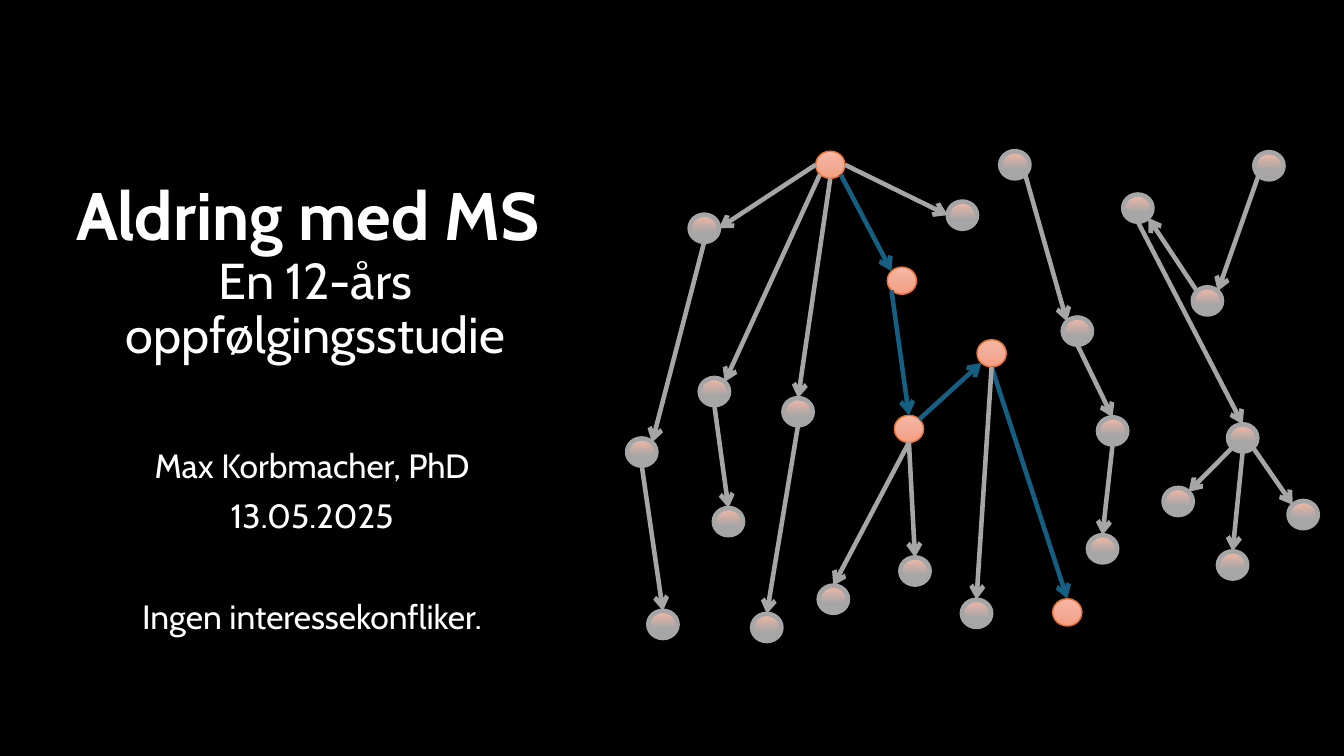
from pptx import Presentation
from pptx.dml.color import RGBColor
from pptx.enum.shapes import MSO_CONNECTOR as Link, MSO_SHAPE as Shape
from pptx.enum.text import MSO_ANCHOR as Anchor, PP_ALIGN as Align
from pptx.oxml import parse_xml
from pptx.oxml.ns import nsdecls
from pptx.util import Inches, Pt

WHITE = RGBColor(0xFF, 0xFF, 0xFF)
BLACK = RGBColor(0, 0, 0)
GREY = RGBColor(0xA6, 0xA6, 0xA6)
ORANGE = RGBColor(0xE9, 0x71, 0x32)
BLUE = RGBColor(0x15, 0x60, 0x82)
FONT = "Cabin"

TITLE = [("Aldring med MS ", 48, True), ("En 12-års oppfølgingsstudie", 36, False)]
LINES = [("Max Korbmacher, PhD", 0), ("13.05.2025", 10), ("Ingen interessekonfliker.", 46)]

WIDE, HIGH = 0.29, 0.27
HOT = {"a1": (8.09, 1.5), "a2": (8.8, 2.65), "a3": (8.87, 4.12),
       "a4": (9.69, 3.37), "a5": (10.44, 5.94)}
COLD = {
    "b1": (6.84, 2.13), "b2": (6.22, 4.35), "b3": (6.43, 6.06),
    "c1": (6.94, 3.75), "c2": (7.08, 5.04),
    "d1": (7.77, 3.95), "d2": (7.46, 6.09), "e1": (9.4, 2),
    "f1": (8.12, 5.81), "f2": (8.93, 5.53), "f3": (9.54, 5.95),
    "g1": (9.92, 1.5), "g2": (10.54, 3.15), "g3": (10.89, 4.14), "g4": (10.79, 5.31),
    "h1": (12.44, 1.51), "h2": (11.83, 2.85), "h3": (11.14, 1.93), "h4": (12.18, 4.21),
    "i1": (11.54, 4.84), "i2": (12.08, 5.47), "i3": (12.78, 4.97),
}
HOT_FILL = [(0, "F5B8A5"), (50, "F2AB96"), (100, "F59E82")]
COLD_FILL = [(0, "F5B8A5"), (65, "A6A6A6"), (100, "A6A6A6")]

SIDES = {"n": (0, -1), "s": (0, 1), "w": (-1, 0), "e": (1, 0),
         "nw": (-0.71, -0.71), "ne": (0.71, -0.71),
         "sw": (-0.71, 0.71), "se": (0.71, 0.71)}
EDGES = [
    ("a1", "se", "a2", "nw"), ("a2", "sw", "a3", "n"),
    ("a3", "ne", "a4", "sw"), ("a4", "s", "a5", "n"),
    ("a1", "w", "b1", "e"), ("b1", "s", "b2", "ne"), ("b2", "s", "b3", "n"),
    ("a1", "sw", "c1", "ne"), ("c1", "s", "c2", "n"),
    ("a1", "s", "d1", "n"), ("d1", "s", "d2", "n"), ("a1", "e", "e1", "w"),
    ("a3", "s", "f1", "n"), ("a3", "s", "f2", "n"), ("a4", "s", "f3", "n"),
    ("g1", "se", "g2", "nw"), ("g2", "s", "g3", "n"), ("g3", "s", "g4", "n"),
    ("h1", "sw", "h2", "ne"), ("h2", "nw", "h3", "se"), ("h3", "s", "h4", "n"),
    ("h4", "sw", "i1", "ne"), ("h4", "s", "i2", "n"), ("h4", "se", "i3", "nw"),
]
NODES = {**HOT, **COLD}


def add_text(slide, x, y, w, h):
    frame = slide.shapes.add_textbox(Inches(x), Inches(y), Inches(w), Inches(h)).text_frame
    frame.word_wrap = True
    frame.vertical_anchor = Anchor.MIDDLE
    return frame


def style(para):
    para.alignment = Align.CENTER
    para.line_spacing = 0.9
    para.font.name = FONT
    para.font.color.rgb = WHITE


def add_title(slide):
    para = add_text(slide, 0.18, 1.41, 5.9, 2.61).paragraphs[0]
    style(para)
    for i, (text, size, bold) in enumerate(TITLE):
        if i:
            para.add_line_break()
        run = para.add_run()
        run.text = text
        run.font.size = Pt(size)
        run.font.bold = bold
        run.font.name = FONT
        run.font.color.rgb = WHITE


def add_lines(slide):
    frame = add_text(slide, 0.88, 4.26, 4.43, 2.25)
    for i, (text, gap) in enumerate(LINES):
        para = frame.add_paragraph() if i else frame.paragraphs[0]
        para.text = text
        style(para)
        para.font.size = Pt(24)
        para.space_before = Pt(gap)


def add_node(slide, spot, stops, color, width):
    x, y = spot
    node = slide.shapes.add_shape(Shape.OVAL, Inches(x), Inches(y), Inches(WIDE), Inches(HIGH))
    node.shadow.inherit = False
    node.line.color.rgb = color
    node.line.width = Pt(width)
    marks = "".join(f'<a:gs pos="{pos * 1000}"><a:srgbClr val="{tint}"/></a:gs>'
                    for pos, tint in stops)
    fill = parse_xml(f'<a:gradFill {nsdecls("a")}><a:gsLst>{marks}</a:gsLst>'
                     '<a:lin ang="5400000" scaled="0"/></a:gradFill>')
    node.line._get_or_add_ln().addprevious(fill)


def find_end(name, side):
    x, y = NODES[name]
    dx, dy = SIDES[side]
    return Inches(x + WIDE / 2 * (1 + dx)), Inches(y + HIGH / 2 * (1 + dy))


def add_edge(slide, start, leave, end, enter):
    edge = slide.shapes.add_connector(
        Link.STRAIGHT, *find_end(start, leave), *find_end(end, enter))
    edge.line.color.rgb = BLUE if start in HOT and end in HOT else GREY
    edge.line.width = Pt(3.25)
    line = edge.line._get_or_add_ln()
    line.append(parse_xml(f'<a:tailEnd {nsdecls("a")} type="arrow"/>'))
    line.addnext(parse_xml(f'<a:effectLst {nsdecls("a")}/>'))


def main():
    deck = Presentation()
    deck.slide_width, deck.slide_height = Inches(13.33), Inches(7.5)
    slide = deck.slides.add_slide(deck.slide_layouts[6])
    slide.background.fill.solid()
    slide.background.fill.fore_color.rgb = BLACK
    add_lines(slide)
    add_title(slide)
    for spot in HOT.values():
        add_node(slide, spot, HOT_FILL, ORANGE, 1)
    for spot in COLD.values():
        add_node(slide, spot, COLD_FILL, GREY, 3.25)
    for edge in EDGES:
        add_edge(slide, *edge)
    deck.save("out.pptx")


if __name__ == "__main__":
    main()
